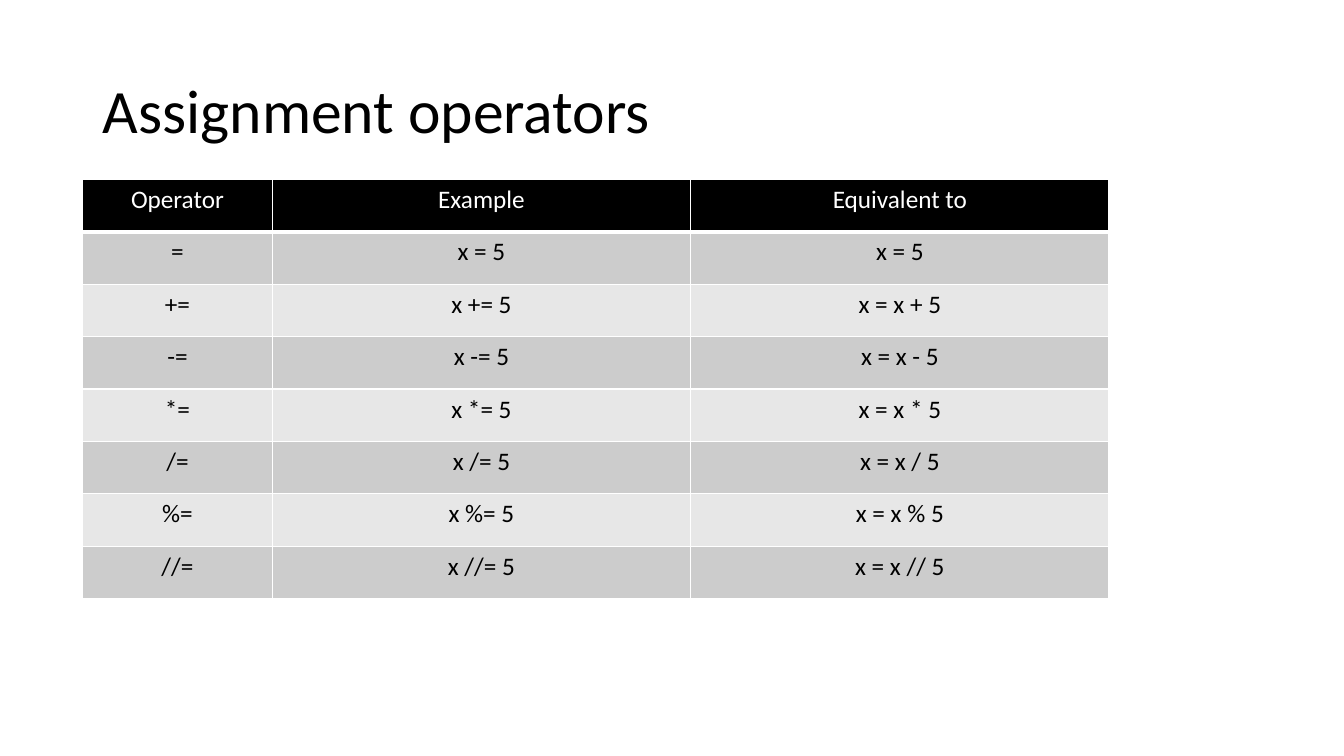
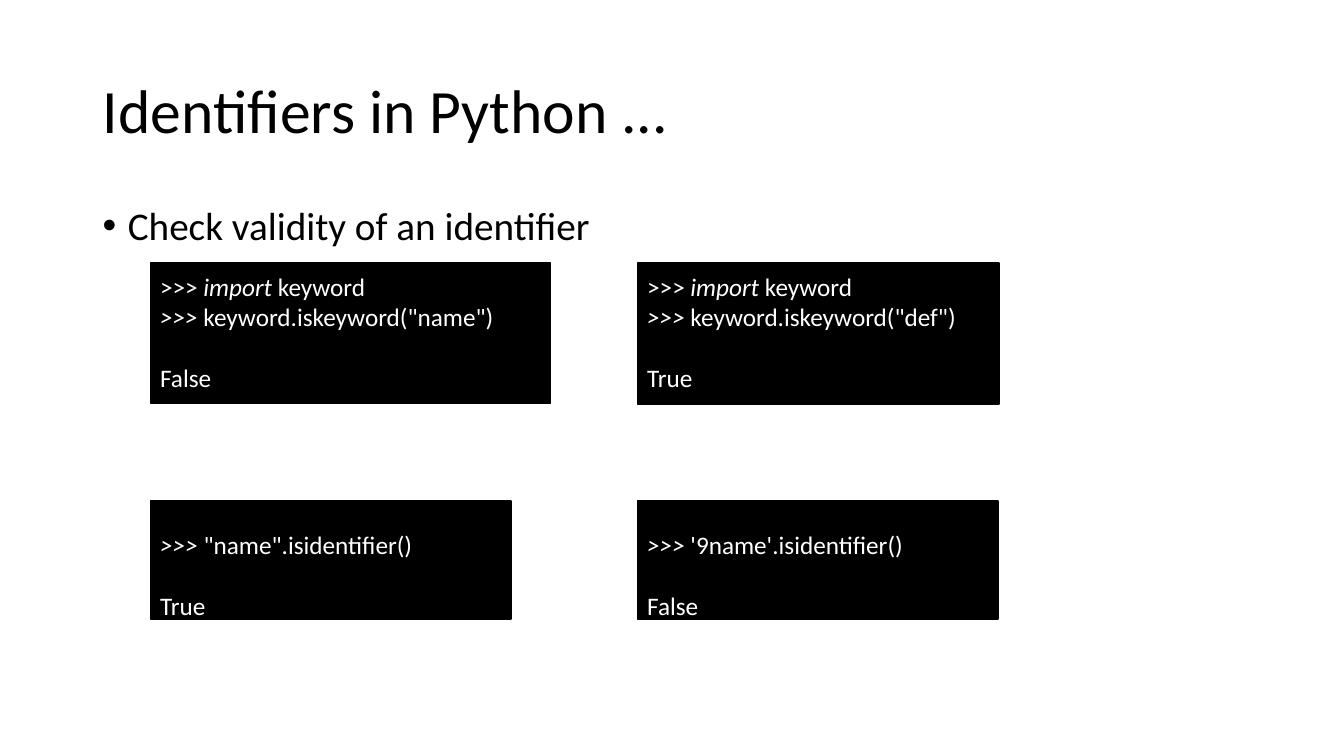
from dataclasses import dataclass

from lxml import etree
from pptx import Presentation
from pptx.dml.color import RGBColor
from pptx.enum import shapes, text
from pptx.oxml import ns
from pptx.util import Inches, Pt


@dataclass(frozen=True)
class Theme:
    font: str = "Calibri"
    black: RGBColor = RGBColor(0x00, 0x00, 0x00)
    white: RGBColor = RGBColor(0xFF, 0xFF, 0xFF)
    bands: tuple = (RGBColor(0xCC, 0xCC, 0xCC), RGBColor(0xE7, 0xE7, 0xE7))
    title_size: int = 44
    bullet_size: int = 28
    code_size: int = 18


theme = Theme()


def add_run(paragraph, words, size, color, italic=False):
    run = paragraph.add_run()
    run.text = words
    run.font.name = theme.font
    run.font.size = Pt(size)
    run.font.bold = False
    run.font.italic = italic
    run.font.color.rgb = color


def add_titled_slide(words):
    slide = presentation.slides.add_slide(presentation.slide_layouts[5])
    title = slide.shapes.title
    title.left, title.top = Inches(0.92), Inches(0.4)
    title.width, title.height = Inches(11.5), Inches(1.45)
    title.text_frame.vertical_anchor = text.MSO_ANCHOR.MIDDLE
    paragraph = title.text_frame.paragraphs[0]
    paragraph.alignment = text.PP_ALIGN.LEFT
    paragraph.line_spacing = 0.9
    add_run(paragraph, words, theme.title_size, theme.black)
    return slide


presentation = Presentation()
presentation.slide_width = Inches(13.33)
presentation.slide_height = Inches(7.5)

slide = add_titled_slide("Assignment operators")
rows = [("Operator", "Example", "Equivalent to"), ("=", "x = 5", "x = 5")]
for operator in ("+", "-", "*", "/", "%", "//"):
    rows.append((f"{operator}=", f"x {operator}= 5", f"x = x {operator} 5"))

column_widths = (1.88, 4.15, 4.15)
row_height = 0.52
table = slide.shapes.add_table(
    len(rows), len(column_widths), Inches(0.82), Inches(1.78),
    Inches(sum(column_widths)), Inches(row_height * len(rows)),
).table
table.first_row = False
table.horz_banding = False
for column, width in zip(table.columns, column_widths):
    column.width = Inches(width)

for row_index, row in enumerate(rows):
    is_header = row_index == 0
    table.rows[row_index].height = Inches(row_height)
    for column_index, words in enumerate(row):
        cell = table.cell(row_index, column_index)
        cell.fill.solid()
        cell.fill.fore_color.rgb = theme.black if is_header else theme.bands[(row_index - 1) % 2]
        paragraph = cell.text_frame.paragraphs[0]
        paragraph.alignment = text.PP_ALIGN.CENTER
        add_run(paragraph, words, theme.code_size, theme.white if is_header else theme.black)
        properties = cell._tc.get_or_add_tcPr()
        for position, side in enumerate(("lnL", "lnR", "lnT", "lnB")):
            width = Pt(3 if is_header and side == "lnB" else 1)
            border = etree.Element(ns.qn(f"a:{side}"), w=str(width))
            border_fill = etree.SubElement(border, ns.qn("a:solidFill"))
            etree.SubElement(border_fill, ns.qn("a:srgbClr"), val=str(theme.white))
            properties.insert(position, border)

slide = add_titled_slide("Identifiers in Python ...")
body = slide.shapes.add_textbox(Inches(0.92), Inches(2), Inches(11.5), Inches(4.76))
body.fill.solid()
body.fill.fore_color.rgb = theme.white
body.text_frame.word_wrap = True
paragraph = body.text_frame.paragraphs[0]
paragraph.line_spacing = 0.9
paragraph.space_before = Pt(10)
properties = paragraph._p.get_or_add_pPr()
properties.set("marL", str(Inches(0.25)))
properties.set("indent", str(-Inches(0.25)))
etree.SubElement(properties, ns.qn("a:buFont"), typeface="Arial")
etree.SubElement(properties, ns.qn("a:buChar"), char="•")
add_run(paragraph, "Check validity of an identifier", theme.bullet_size, theme.black)

import_line = [(">>> ", False), ("import ", True), ("keyword", False)]
keyword_top, identifier_top = 2.61, 4.97
left_column, right_column = 1.49, 6.32
consoles = [
    (left_column, keyword_top, 3.97, 1.39, 0.08,
     [import_line, [(">>> ", True), ('keyword.iskeyword("name")', False)]], "False"),
    (right_column, keyword_top, 3.59, 1.4, 0.08,
     [import_line, [(">>> ", True), ('keyword.iskeyword("def")', False)]], "True"),
    (left_column, identifier_top, 3.58, 1.17, 0.28,
     [[(">>> ", True), ('"name".isidentifier()', False)]], "True"),
    (right_column, identifier_top, 3.58, 1.17, 0.28,
     [[(">>> ", True), ("'9name'.isidentifier()", False)]], "False"),
]
for left, top, width, height, top_margin, code_lines, result in consoles:
    console = slide.shapes.add_shape(
        shapes.MSO_SHAPE.RECTANGLE, Inches(left), Inches(top), Inches(width), Inches(height))
    console.shadow.inherit = False
    console.fill.solid()
    console.fill.fore_color.rgb = theme.black
    console.line.color.rgb = theme.black
    console.line.width = Pt(1)
    frame = console.text_frame
    frame.word_wrap = True
    frame.vertical_anchor = text.MSO_ANCHOR.TOP
    frame.margin_top = Inches(top_margin)
    frame.margin_bottom = 0
    paragraph = frame.paragraphs[0]
    paragraph.alignment = text.PP_ALIGN.LEFT
    for line_index, code_line in enumerate(code_lines):
        if line_index:
            paragraph.add_line_break()
        for words, italic in code_line:
            add_run(paragraph, words, theme.code_size, theme.white, italic)
    paragraph = frame.add_paragraph()
    paragraph.alignment = text.PP_ALIGN.LEFT
    paragraph.space_before = Pt(22)
    add_run(paragraph, result, theme.code_size, theme.white)

presentation.save("out.pptx")
